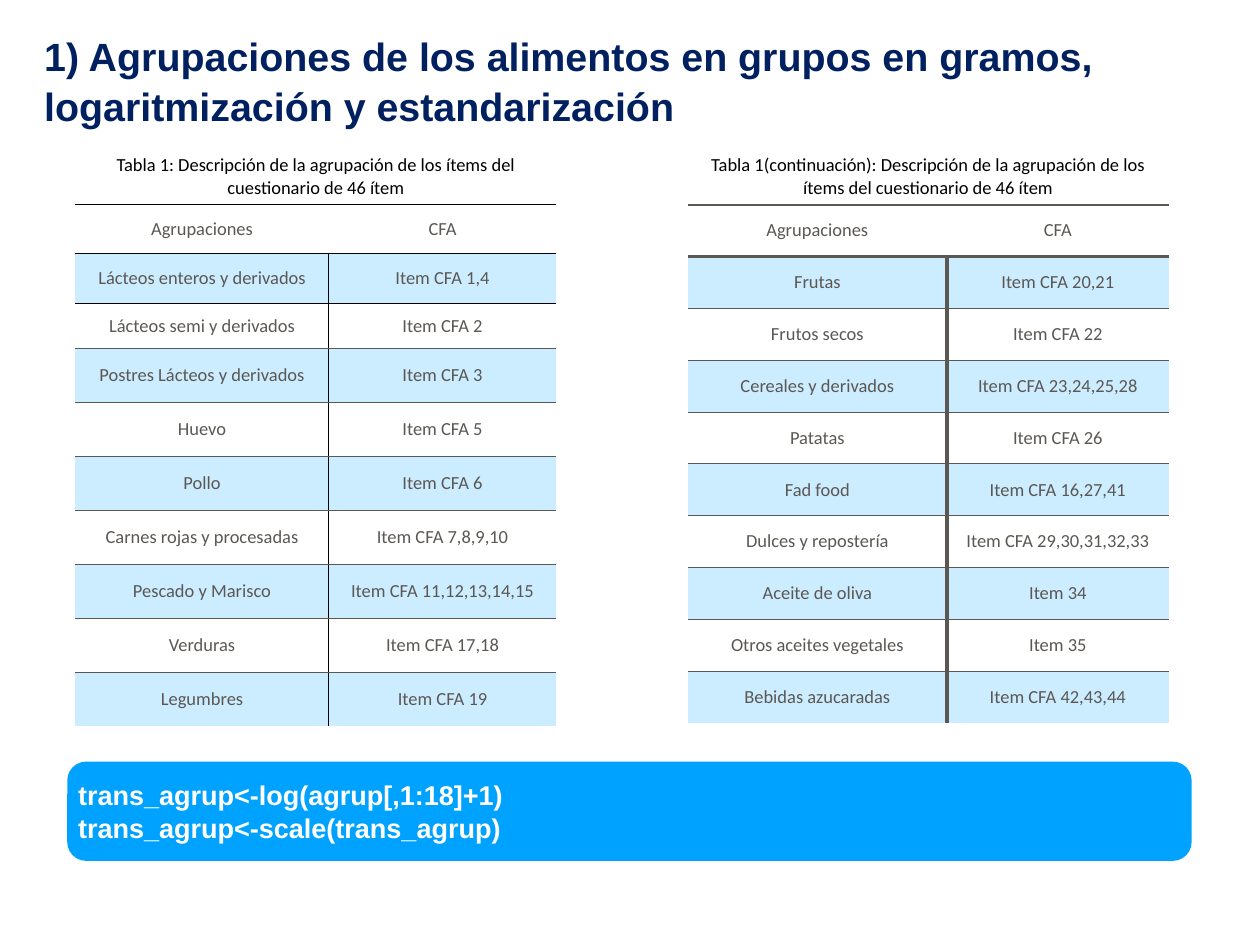
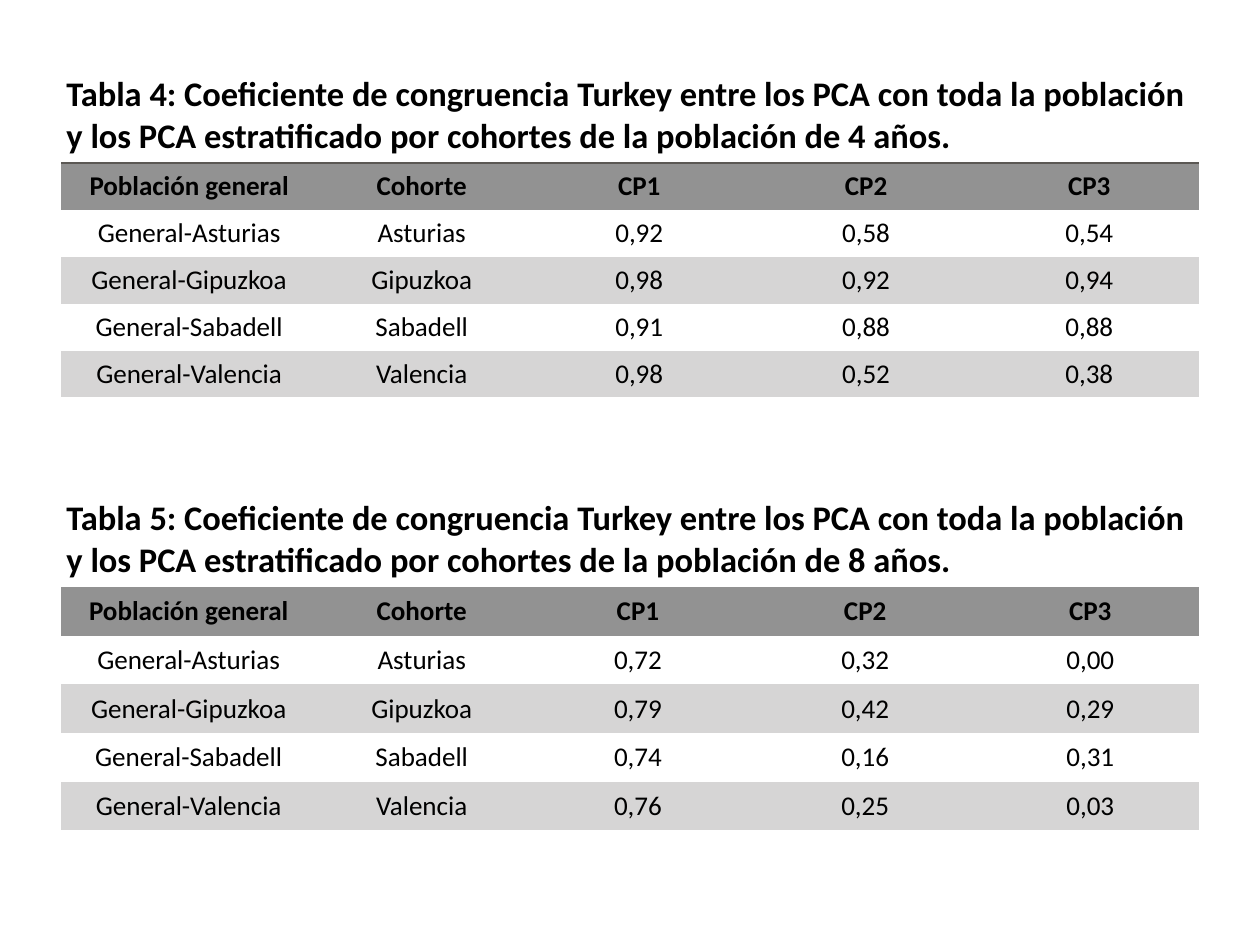
from dataclasses import dataclass, field
from typing import NamedTuple, Optional

from lxml import etree
from pptx import Presentation
from pptx import util as u
from pptx.dml.color import RGBColor
from pptx.enum import shapes, text
from pptx.oxml.ns import qn

# Shared look
WIDTH, HEIGHT = u.Inches(14.22), u.Inches(10.67)
INSET = u.Inches(0.06)
BLACK, WHITE, GREY = "000000", "FFFFFF", "5B5854"
NAVY, BLUE, PALE_BLUE = "002060", "00A2FF", "CCECFF"
HEADER_GREY, BAND_GREY = "929292", "D6D5D5"
LEFT, CENTER = text.PP_ALIGN.LEFT, text.PP_ALIGN.CENTER


class Line(NamedTuple):
    color: str
    width: float


class Box(NamedTuple):
    """Left, top, width and height as percentages of the slide."""
    x: float
    y: float
    w: float
    h: float


class TextStyle(NamedTuple):
    size: float
    color: str
    font: str = "Calibri"
    bold: bool = False
    align: text.PP_ALIGN = CENTER


@dataclass(frozen=True)
class TableTheme:
    caption: TextStyle
    header: TextStyle
    body: TextStyle
    header_fill: str
    band_fills: tuple[str, str]


@dataclass(frozen=True)
class TableBlock:
    """Column widths and row heights are percentages of the slide."""
    x: float
    y: float
    columns: list[float]
    heights: list[float]
    caption: str
    header: list[str]
    rows: list[list[str]]
    theme: TableTheme
    rules: dict[int, Line] = field(default_factory=dict)  # line above each row
    divider: Optional[Line] = None


GROUP_THEME = TableTheme(
    caption=TextStyle(15, BLACK), header=TextStyle(15, GREY), body=TextStyle(15, GREY),
    header_fill=WHITE, band_fills=(PALE_BLUE, WHITE))
COHORT_THEME = TableTheme(
    caption=TextStyle(28, BLACK, bold=True, align=LEFT),
    header=TextStyle(22, BLACK, bold=True), body=TextStyle(22, BLACK),
    header_fill=HEADER_GREY, band_fills=(WHITE, BAND_GREY))
TITLE_STYLE = TextStyle(32, NAVY, "Arial", True, LEFT)
CODE_STYLE = TextStyle(22, WHITE, "Arial", True, LEFT)


# Helpers
def across(percent: float) -> int:
    return int(WIDTH * percent / 100)


def down(percent: float) -> int:
    return int(HEIGHT * percent / 100)


def rgb(color: str) -> RGBColor:
    return RGBColor.from_string(color)


def place(box: Box) -> tuple[int, int, int, int]:
    return across(box.x), down(box.y), across(box.w), down(box.h)


def write(tf, content: str, style: TextStyle) -> None:
    tf.text = content
    for p in tf.paragraphs:
        p.alignment = style.align
        for r in p.runs:
            r.font.name, r.font.size = style.font, u.Pt(style.size)
            r.font.bold = style.bold
            r.font.color.rgb = rgb(style.color)


def set_insets(target) -> None:
    """Give a cell or a text frame equal insets."""
    target.margin_left = target.margin_right = INSET
    target.margin_top = target.margin_bottom = INSET


def set_border(cell, side: str, line: Optional[Line]) -> None:
    ln = etree.SubElement(cell._tc.get_or_add_tcPr(), qn(f"a:ln{side}"))
    if line is None:
        ln.set("w", "0")
        etree.SubElement(ln, qn("a:noFill"))
        return
    ln.set("w", str(u.Pt(line.width)))
    fill = etree.SubElement(ln, qn("a:solidFill"))
    etree.SubElement(fill, qn("a:srgbClr")).set("val", line.color)


# Slide parts
def add_title(s, content: str) -> None:
    tf = s.shapes.add_textbox(*place(Box(3.09, 2.53, 91.49, 7.31))).text_frame
    tf.word_wrap = True
    set_insets(tf)
    write(tf, content, TITLE_STYLE)
    for p in tf.paragraphs:
        p.line_spacing = 1.06


def add_code(s, content: str) -> None:
    sp = s.shapes.add_shape(shapes.MSO_SHAPE.ROUNDED_RECTANGLE,
                            *place(Box(5.34, 80.6, 89.24, 10.5)))
    sp.adjustments[0] = 0.19
    sp.shadow.inherit = False
    sp.fill.solid()
    sp.fill.fore_color.rgb = rgb(BLUE)
    sp.line.fill.background()
    tf = sp.text_frame
    tf.vertical_anchor = text.MSO_ANCHOR.MIDDLE
    set_insets(tf)
    write(tf, content, CODE_STYLE)


def add_table(s, block: TableBlock) -> None:
    theme = block.theme
    box = Box(block.x, block.y, sum(block.columns), sum(block.heights))
    table = s.shapes.add_table(len(block.heights), len(block.columns), *place(box)).table
    table.first_row = table.horz_banding = False
    for column, width in zip(table.columns, block.columns):
        column.width = across(width)
    for row, height in zip(table.rows, block.heights):
        row.height = down(height)

    caption = [block.caption] + [""] * (len(block.columns) - 1)
    for i, values in enumerate([caption, block.header, *block.rows]):
        if i == 0:
            style, fill = theme.caption, WHITE
        elif i == 1:
            style, fill = theme.header, theme.header_fill
        else:
            style, fill = theme.body, theme.band_fills[i % 2]
        divider = block.divider if i > 1 else None
        for j, value in enumerate(values):
            cell = table.cell(i, j)
            set_border(cell, "L", divider if j == 1 else None)
            set_border(cell, "R", divider if j == 0 else None)
            set_border(cell, "T", block.rules.get(i))
            set_border(cell, "B", block.rules.get(i + 1))
            cell.fill.solid()
            cell.fill.fore_color.rgb = rgb(fill)
            cell.vertical_anchor = text.MSO_ANCHOR.MIDDLE
            set_insets(cell)
            if value:
                write(cell.text_frame, value, style)
    table.cell(0, 0).merge(table.cell(0, len(block.columns) - 1))


# Content
GROUP_HEADER = ["Agrupaciones", "CFA"]
COHORT_HEADER = ["Población general", "Cohorte", "CP1", "CP2", "CP3"]
COHORTS = ["Asturias", "Gipuzkoa", "Sabadell", "Valencia"]
GROUP_RULES = {i: Line(GREY, 1) for i in range(3, 11)}

GROUP_TABLES = [
    TableBlock(
        5.98, 15.75, [20.11, 18.07], [5.9, 5.15, 5.34, 4.69] + [5.72] * 7,
        "Tabla 1: Descripción de la agrupación de los ítems del cuestionario de 46 ítem",
        GROUP_HEADER,
        [["Lácteos enteros y derivados", "Item CFA 1,4"],
         ["Lácteos semi y derivados", "Item CFA 2"],
         ["Postres Lácteos y derivados", "Item CFA 3"],
         ["Huevo", "Item CFA 5"],
         ["Pollo", "Item CFA 6"],
         ["Carnes rojas y procesadas", "Item CFA 7,8,9,10"],
         ["Pescado y Marisco", "Item CFA 11,12,13,14,15"],
         ["Verduras", "Item CFA 17,18"],
         ["Legumbres", "Item CFA 19"]],
        GROUP_THEME, GROUP_RULES | {i: Line(BLACK, 1) for i in (1, 2, 3)}, Line(BLACK, 1)),
    TableBlock(
        54.57, 15.75, [20.6, 17.58], [5.9] + [5.49] * 10,
        "Tabla 1(continuación): Descripción de la agrupación de los ítems "
        "del cuestionario de 46 ítem",
        GROUP_HEADER,
        [["Frutas", "Item CFA 20,21"],
         ["Frutos secos", "Item CFA 22"],
         ["Cereales y derivados", "Item CFA 23,24,25,28"],
         ["Patatas", "Item CFA 26"],
         ["Fad food", "Item CFA 16,27,41"],
         ["Dulces y repostería", "Item CFA 29,30,31,32,33"],
         ["Aceite de oliva", "Item 34"],
         ["Otros aceites vegetales", "Item 35"],
         ["Bebidas azucaradas", "Item CFA 42,43,44"]],
        GROUP_THEME, GROUP_RULES | {i: Line(GREY, 2) for i in (1, 2)}, Line(GREY, 3)),
]


def cohort_table(number: int, age: int, y: float, columns: list[float], row_height: float,
                 scores: list[str], rules: dict[int, Line]) -> TableBlock:
    caption = (f"Tabla {number}: Coeficiente de congruencia Turkey entre los PCA con toda la "
               f"población y los PCA estratificado por cohortes de la población de {age} años.")
    rows = [[f"General-{name}", name, *line.split()] for name, line in zip(COHORTS, scores)]
    return TableBlock(4.85, y, columns, [10.03] + [row_height] * 5, caption,
                      COHORT_HEADER, rows, COHORT_THEME, rules)


COHORT_TABLES = [
    cohort_table(4, 4, 7.22, [20.32, 16.6, 17.93, 18.07, 17.37], 4.97,
                 ["0,92 0,58 0,54", "0,98 0,92 0,94", "0,91 0,88 0,88", "0,98 0,52 0,38"],
                 {1: Line(GREY, 1), 5: Line(WHITE, 1), 6: Line(WHITE, 1)}),
    cohort_table(5, 8, 52.11, [20.25, 16.74, 17.58, 18.5, 17.23], 5.15,
                 ["0,72 0,32 0,00", "0,79 0,42 0,29", "0,74 0,16 0,31", "0,76 0,25 0,03"], {}),
]


def main() -> None:
    prs = Presentation()
    prs.slide_width, prs.slide_height = WIDTH, HEIGHT
    blank = prs.slide_layouts[6]

    # Food groups
    s = prs.slides.add_slide(blank)
    for block in GROUP_TABLES:
        add_table(s, block)
    add_title(s, "1) Agrupaciones de los alimentos en grupos en gramos, "
                 "logaritmización y estandarización")
    add_code(s, "trans_agrup<-log(agrup[,1:18]+1)\ntrans_agrup<-scale(trans_agrup)")

    # Congruence by cohort
    s = prs.slides.add_slide(blank)
    for block in COHORT_TABLES:
        add_table(s, block)

    prs.save("out.pptx")


if __name__ == "__main__":
    main()
